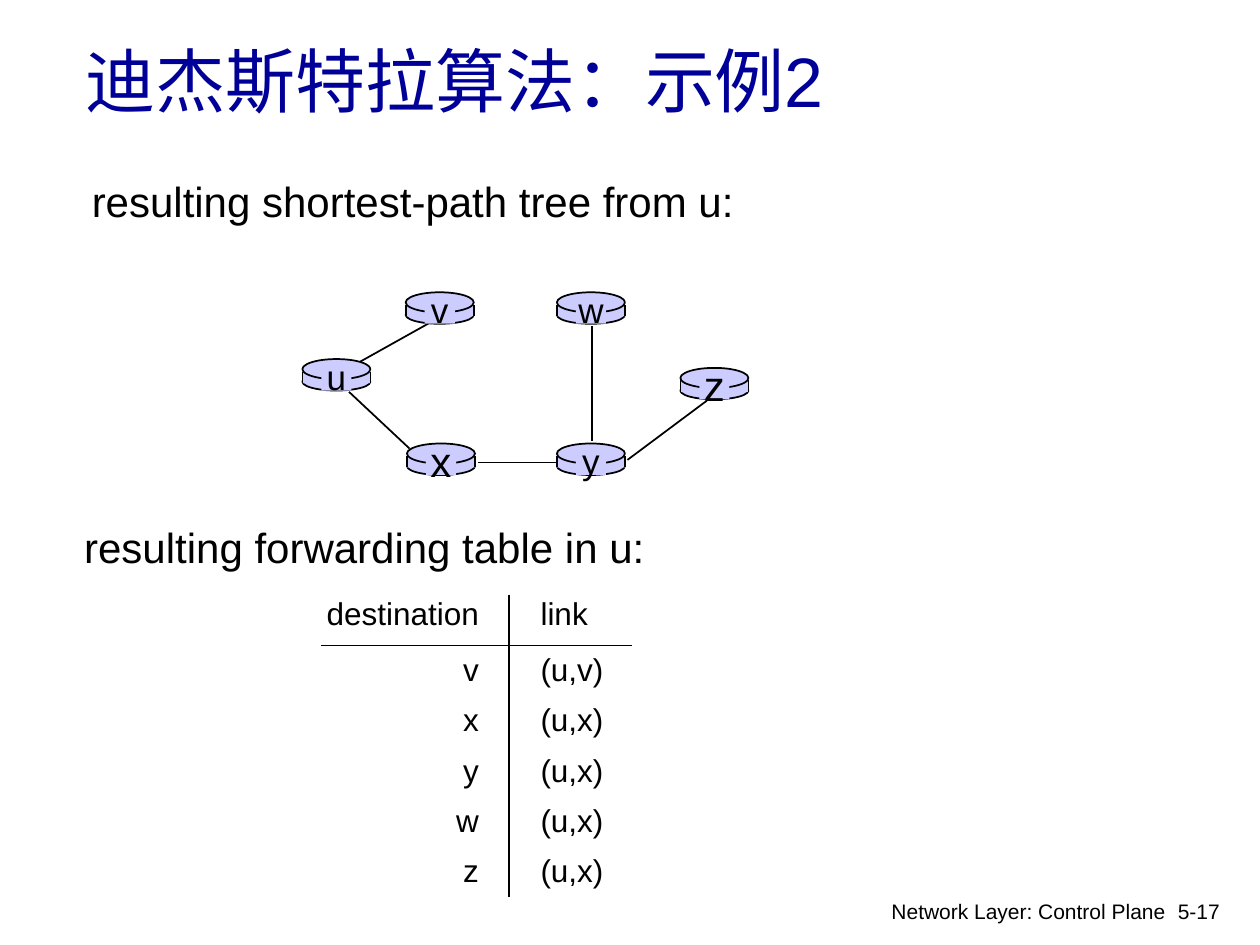
"""Build the slide on Dijkstra's algorithm: shortest-path tree and forwarding table."""
from lxml import etree
from pptx import Presentation
from pptx.dml.color import RGBColor
from pptx.enum.shapes import MSO_CONNECTOR, MSO_SHAPE
from pptx.enum.text import MSO_ANCHOR, PP_ALIGN
from pptx.oxml.ns import qn
from pptx.util import Inches, Pt

STRAIGHT = MSO_CONNECTOR.STRAIGHT
OVAL, RECTANGLE = MSO_SHAPE.OVAL, MSO_SHAPE.RECTANGLE
LEFT, CENTER, RIGHT = PP_ALIGN.LEFT, PP_ALIGN.CENTER, PP_ALIGN.RIGHT
TOP, MIDDLE = MSO_ANCHOR.TOP, MSO_ANCHOR.MIDDLE

COLORS = {"title": "000099", "ink": "000000", "router": "CCCCFF"}
FONT = "Arial"

TITLE = "迪杰斯特拉算法：示例2"
CAPTIONS = [
    ("resulting shortest-path tree from u:", (0.63, 1.34, 5.35, 0.5), 24, LEFT, False),
    ("resulting forwarding table in u:", (0.57, 4.09, 4.7, 0.5), 24, LEFT, False),
    ("5-17", (9.25, 7.08, 0.6, 0.3), 12, LEFT, True),
    ("Network Layer: Control Plane", (6.97, 7.08, 2.38, 0.26), 12, RIGHT, True),
]
ROUTERS = [
    ("u", 2.4, 2.85, 20),
    ("x", 3.23, 3.52, 24),
    ("v", 3.22, 2.32, 20),
    ("w", 4.42, 2.32, 20),
    ("y", 4.42, 3.52, 20),
    ("z", 5.4, 2.92, 24),
]
LINKS = [
    ((2.86, 2.87), (3.45, 2.54)),
    ((4.7, 2.59), (4.7, 3.5)),
    ((4.98, 3.65), (5.61, 3.18)),
    ((4.43, 3.67), (3.79, 3.67)),
    ((3.25, 3.56), (2.77, 3.11)),
]
FORWARDING = [
    ("destination", "link"),
    ("v", "(u,v)"),
    ("x", "(u,x)"),
    ("y", "(u,x)"),
    ("w", "(u,x)"),
    ("z", "(u,x)"),
]
TABLE_LEFT, TABLE_TOP, ROW_HEIGHT = 2.55, 4.72, 0.4
COLUMN_WIDTHS = (1.49, 0.98)
ROUTER_WIDTH = 0.54


def color(name):
    return RGBColor.from_string(COLORS[name])


def write(frame, text, size, ink="ink", align=LEFT, anchor=TOP, wrap=True):
    frame.word_wrap = wrap
    frame.vertical_anchor = anchor
    paragraph = frame.paragraphs[0]
    paragraph.alignment = align
    run = paragraph.add_run()
    run.text = text
    run.font.size = Pt(size)
    run.font.name = FONT
    run.font.color.rgb = color(ink)


def add_line(slide, start, end):
    line = slide.shapes.add_connector(STRAIGHT, *map(Inches, start + end))
    line.line.color.rgb = color("ink")
    line.line.width = Pt(1)
    etree.SubElement(line._element.spPr, qn("a:effectLst"))


def add_part(slide, preset, box, outlined=False):
    part = slide.shapes.add_shape(preset, *map(Inches, box))
    part.shadow.inherit = False
    part.fill.solid()
    part.fill.fore_color.rgb = color("router")
    if outlined:
        part.line.color.rgb = color("ink")
        part.line.width = Pt(1)
    else:
        part.line.fill.background()
    return part


def add_router(slide, label, left, top, size):
    add_part(slide, OVAL, (left, top + 0.11, ROUTER_WIDTH, 0.14), outlined=True)
    add_part(slide, RECTANGLE, (left, top + 0.1, ROUTER_WIDTH, 0.09))
    for side in (left, left + ROUTER_WIDTH):
        add_line(slide, (side, top + 0.1), (side, top + 0.19))
    add_part(slide, OVAL, (left, top, ROUTER_WIDTH, 0.16), outlined=True)
    plate = add_part(slide, RECTANGLE, (left + 0.15, top + 0.02, 0.24, 0.23))
    frame = plate.text_frame
    frame.margin_left = frame.margin_right = frame.margin_top = frame.margin_bottom = 0
    write(frame, label, size, align=CENTER, anchor=MIDDLE, wrap=False)


def set_borders(cell, ruled_sides):
    properties = cell._tc.get_or_add_tcPr()
    for side in ("lnL", "lnR", "lnT", "lnB"):
        border = etree.SubElement(properties, qn(f"a:{side}"), w=str(Pt(0.75)))
        if side in ruled_sides:
            fill = etree.SubElement(border, qn("a:solidFill"))
            etree.SubElement(fill, qn("a:srgbClr"), val=COLORS["ink"])
        else:
            etree.SubElement(border, qn("a:noFill"))


def add_forwarding_table(slide):
    box = (TABLE_LEFT, TABLE_TOP, sum(COLUMN_WIDTHS), ROW_HEIGHT * len(FORWARDING))
    table = slide.shapes.add_table(
        len(FORWARDING), len(COLUMN_WIDTHS), *map(Inches, box)
    ).table
    table.first_row = table.horz_banding = False
    for column, width in zip(table.columns, COLUMN_WIDTHS):
        column.width = Inches(width)
    for row_index, entry in enumerate(FORWARDING):
        table.rows[row_index].height = Inches(ROW_HEIGHT)
        for column_index, text in enumerate(entry):
            cell = table.cell(row_index, column_index)
            is_destination = column_index == 0
            ruled = ["lnR" if is_destination else "lnL"]
            if row_index < 2:
                ruled.append("lnT" if row_index else "lnB")
            set_borders(cell, ruled)
            cell.fill.background()
            cell.margin_left = Inches(0 if is_destination else 0.25)
            cell.margin_right = Inches(0.24 if is_destination else 0)
            cell.margin_top = cell.margin_bottom = Inches(0.02)
            write(cell.text_frame, text, 18, align=RIGHT if is_destination else LEFT)
            cell.vertical_anchor = MIDDLE if row_index else TOP


def main():
    deck = Presentation()
    deck.slide_width, deck.slide_height = Inches(10), Inches(7.5)
    slide = deck.slides.add_slide(deck.slide_layouts[5])
    title = slide.shapes.title
    title.left, title.top, title.width, title.height = map(Inches, (0.58, 0.17, 8.5, 0.93))
    write(title.text_frame, TITLE, 40, ink="title", anchor=MIDDLE)
    for start, end in LINKS:
        add_line(slide, start, end)
    for router in ROUTERS:
        add_router(slide, *router)
    for text, box, size, align, wrap in CAPTIONS:
        caption = slide.shapes.add_textbox(*map(Inches, box))
        write(caption.text_frame, text, size, align=align, wrap=wrap)
    add_forwarding_table(slide)
    deck.save("out.pptx")


if __name__ == "__main__":
    main()
